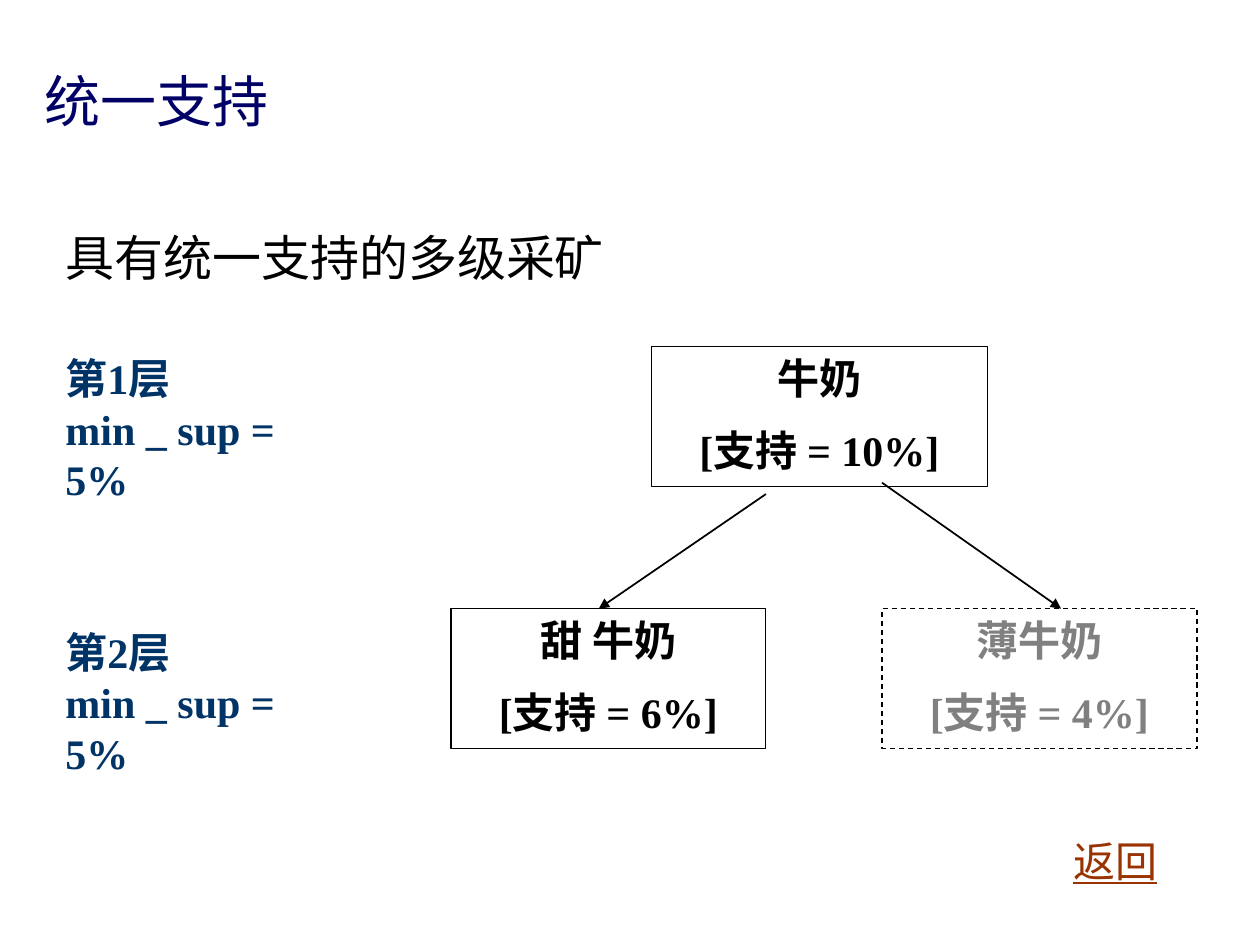
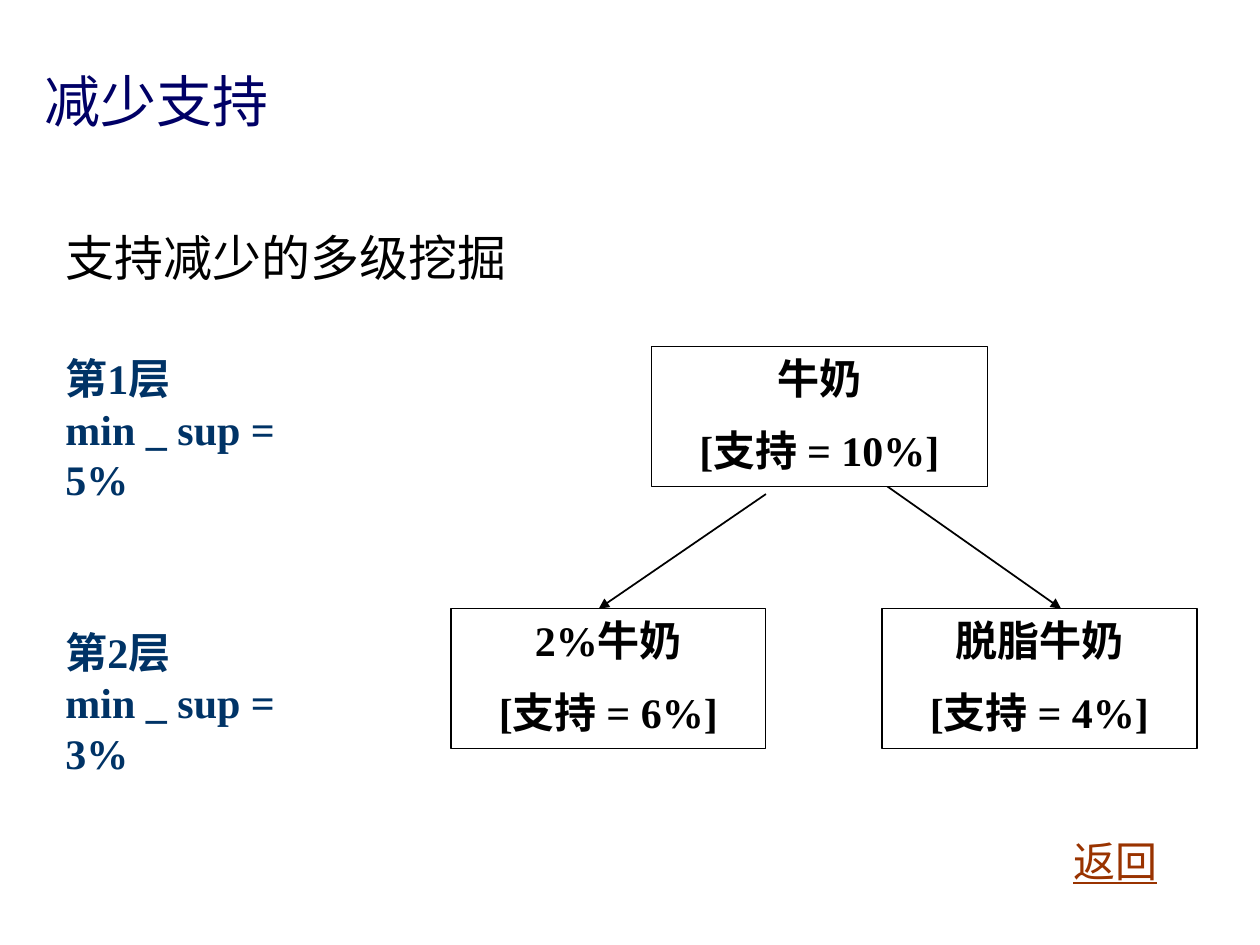
from lxml import etree
from pptx import Presentation
from pptx import util as u
from pptx.dml.color import RGBColor
from pptx.enum import dml, shapes, text
from pptx.oxml.ns import qn

NAVY = RGBColor(0x00, 0x00, 0x66)
BLUE = RGBColor(0x00, 0x33, 0x66)
RUST = RGBColor(0x99, 0x33, 0x00)
BLACK = RGBColor(0x00, 0x00, 0x00)
GREY = RGBColor(0x80, 0x80, 0x80)
WHITE = RGBColor(0xFF, 0xFF, 0xFF)

HEADING_FONT = "Montserrat"
TEXT_FONT = "Times New Roman"

MILK_AT = (13.13, 6.99, 6.78, 2.82)
CHILD_TOP, CHILD_WIDTH, CHILD_HEIGHT = 12.27, 6.35, 2.82
CHILD_LEFTS = (9.09, 17.78)
BRANCHES = ((15.44, 9.96, 12.07), (17.78, 9.73, 21.39))
LEVEL_TOPS = (6.99, 12.5)
LEFT = 1.07


def cm(lengths):
    return [u.Cm(length) for length in lengths]


class Deck:
    def __init__(self):
        self.prs = Presentation()
        self.prs.slide_width, self.prs.slide_height = cm((25.4, 19.05))
        self.slide = None

    def new_slide(self, title, lead):
        self.slide = self.prs.slides.add_slide(self.prs.slide_layouts[1])
        heading, body = self.slide.placeholders
        self.place(heading, (0.64, 1.35, 23.93, 1.47))
        self.set_words(heading, title, 32, NAVY, HEADING_FONT)
        heading.text_frame.vertical_anchor = text.MSO_ANCHOR.BOTTOM
        self.place(body, (LEFT, 4.45, 23.34, 2.74))
        self.set_words(body, lead, 28, BLACK, HEADING_FONT)
        props = body.text_frame.paragraphs[0]._p.get_or_add_pPr()
        etree.SubElement(props, qn("a:buNone"))

    def place(self, shape, at):
        shape.left, shape.top, shape.width, shape.height = cm(at)

    def set_words(self, shape, words, size, color, font=TEXT_FONT, bold=False,
                  underline=False, align=text.PP_ALIGN.LEFT, gap=0):
        """Fill the shape; gap is the space in points between paragraphs."""
        frame = shape.text_frame
        frame.text = words
        frame.word_wrap = True
        frame.auto_size = text.MSO_AUTO_SIZE.NONE
        frame.vertical_anchor = text.MSO_ANCHOR.TOP
        for number, paragraph in enumerate(frame.paragraphs):
            paragraph.alignment = align
            paragraph.space_before = u.Pt(gap if number else 0)
            for run in paragraph.runs:
                run.font.name = font
                run.font.size = u.Pt(size)
                run.font.bold = bold
                run.font.underline = underline
                run.font.color.rgb = color

    def label(self, words, at, color, **style):
        box = self.slide.shapes.add_textbox(*cm(at))
        self.set_words(box, words, 24, color, **style)

    def item(self, name, support, at, faded=False):
        """A box with an item and its support; faded when it is pruned."""
        box = self.slide.shapes.add_shape(shapes.MSO_SHAPE.RECTANGLE, *cm(at))
        box.shadow.inherit = False
        box.fill.solid()
        box.fill.fore_color.rgb = WHITE
        box.line.color.rgb = BLACK
        box.line.width = u.Pt(0.75)
        if faded:
            box.line.dash_style = dml.MSO_LINE.DASH
            white = box._element.spPr.find(qn("a:solidFill"))[0]
            etree.SubElement(white, qn("a:alpha"), val="50000")
        self.set_words(box, f"{name}\n[支持 = {support}]", 24,
                       GREY if faded else BLACK, bold=True,
                       align=text.PP_ALIGN.CENTER, gap=12)

    def arrow(self, start_x, start_y, end_x, end_y):
        arrow = self.slide.shapes.add_connector(
            shapes.MSO_CONNECTOR.STRAIGHT,
            *cm((start_x, start_y, end_x, end_y)))
        arrow.line.color.rgb = BLACK
        arrow.line.width = u.Pt(1)
        outline = arrow._element.spPr.find(qn("a:ln"))
        etree.SubElement(outline, qn("a:tailEnd"), type="triangle")
        etree.SubElement(arrow._element.spPr, qn("a:effectLst"))

    def support_slide(self, title, lead, min_sups, children,
                      milk_in_front=False):
        """Children are (name, support, faded), from left to right."""
        self.new_slide(title, lead)
        if not milk_in_front:
            self.item("牛奶", "10%", MILK_AT)
        for left, (name, support, faded) in zip(CHILD_LEFTS, children):
            self.item(name, support,
                      (left, CHILD_TOP, CHILD_WIDTH, CHILD_HEIGHT), faded)
        for start_x, start_y, end_x in BRANCHES:
            self.arrow(start_x, start_y, end_x, CHILD_TOP)
        for level, (top, min_sup) in enumerate(zip(LEVEL_TOPS, min_sups), 1):
            self.label(f"第{level}层\nmin _ sup = {min_sup}",
                       (LEFT, top, 5.79, 2.29), BLUE, bold=True)
        self.label("返回", (21.39, 16.71, 2.26, 1.27), RUST, underline=True)
        if milk_in_front:
            self.item("牛奶", "10%", MILK_AT)


def main():
    deck = Deck()
    deck.support_slide("统一支持", "具有统一支持的多级采矿", ("5%", "5%"),
                       (("甜 牛奶", "6%", False), ("薄牛奶", "4%", True)))
    deck.support_slide("减少支持", "支持减少的多级挖掘", ("5%", "3%"),
                       (("2%牛奶", "6%", False), ("脱脂牛奶", "4%", False)),
                       milk_in_front=True)
    deck.prs.save("out.pptx")


if __name__ == "__main__":
    main()
